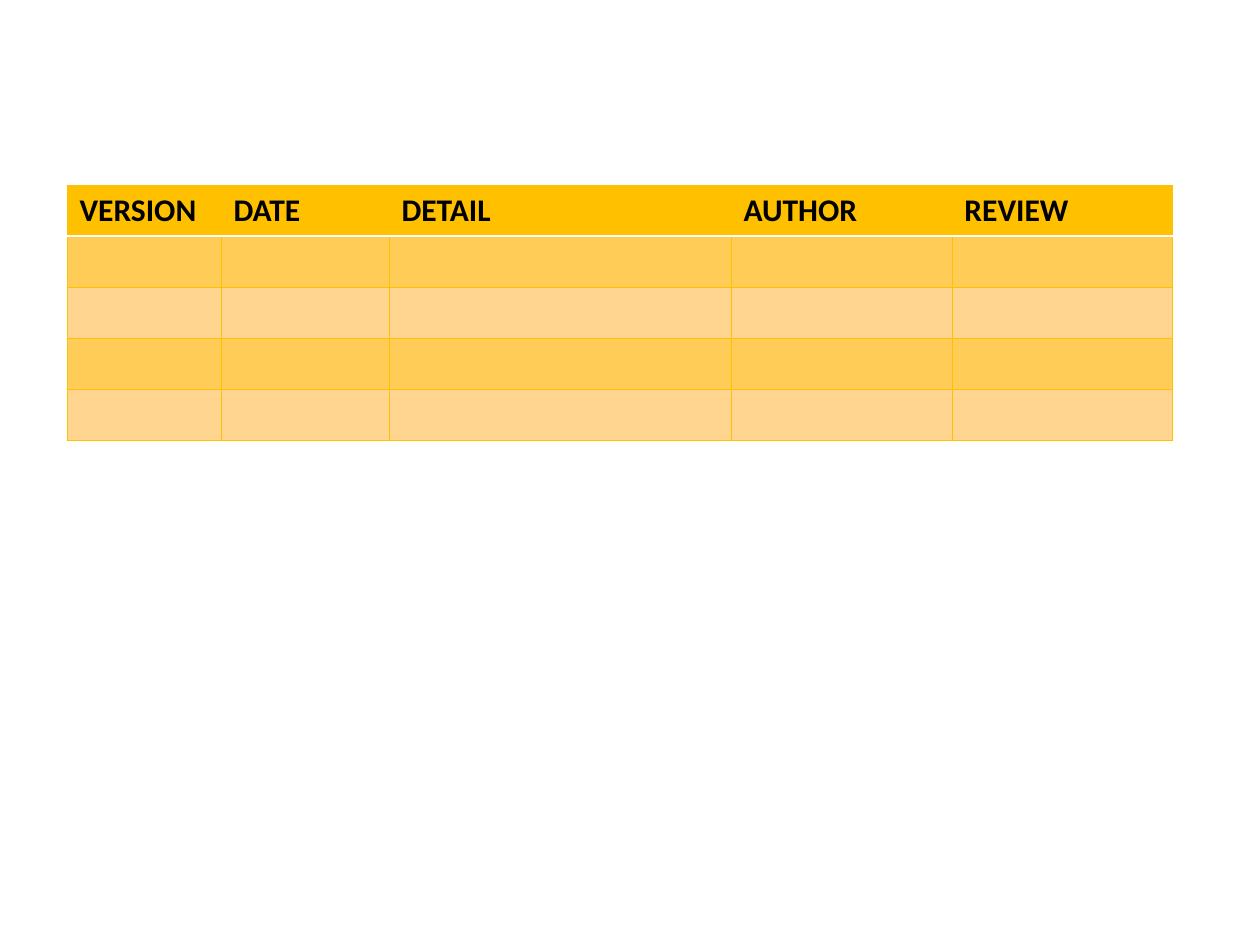
from lxml.etree import SubElement
from pptx import Presentation
from pptx.dml.color import RGBColor
from pptx.oxml.ns import qn
from pptx.util import Pt

SCALE = 914400 // 126
COLORS = {"gold": "FFC000", "dark": "FFCC57", "light": "FFD58F",
          "white": "FFFFFF", "black": "000000"}
HEADS = ["VERSION", "DATE", "DETAIL", "AUTHOR ", "REVIEW"]
WIDTHS = [154, 168, 342, 221, 221]
ROWS, HEIGHT = 5, 51


def px(size):
    """Turn pixels into EMU."""
    return size * SCALE


def add_edge(cell, side, color, width):
    """Draw one border of a cell."""
    line = SubElement(cell._tc.get_or_add_tcPr(), qn(f"a:ln{side}"),
                      w=str(Pt(width)))
    fill = SubElement(line, qn("a:solidFill"))
    SubElement(fill, qn("a:srgbClr"), val=COLORS[color])


def style_cell(cell, row):
    """Give a cell its borders and the fill of its row."""
    for side in "LRTB":
        rule = (row, side) in ((0, "B"), (1, "T"))
        add_edge(cell, side, *(("white", 1) if rule else ("gold", 0.5)))
    name = "gold" if row == 0 else "dark" if row % 2 else "light"
    cell.fill.solid()
    cell.fill.fore_color.rgb = RGBColor.from_string(COLORS[name])


def add_head(cell, text):
    """Write a bold column heading."""
    run = cell.text_frame.paragraphs[0].add_run()
    run.text = text
    font = run.font
    font.name, font.size, font.bold = "Calibri", Pt(18), True
    font.color.rgb = RGBColor.from_string(COLORS["black"])


def add_log(slide):
    """Add the version log with its empty rows."""
    table = slide.shapes.add_table(
        ROWS, len(HEADS), px(67), px(185), px(sum(WIDTHS)),
        px(ROWS * HEIGHT)).table
    table.horz_banding = False
    for col, width in zip(table.columns, WIDTHS):
        col.width = px(width)
    for index, row in enumerate(table.rows):
        row.height = px(HEIGHT)
        for cell in row.cells:
            style_cell(cell, index)
    for cell, text in zip(table.rows[0].cells, HEADS):
        add_head(cell, text)


def main():
    """Build the slide and save it."""
    deck = Presentation()
    deck.slide_width, deck.slide_height = px(1260), px(945)
    add_log(deck.slides.add_slide(deck.slide_layouts[6]))
    deck.save("out.pptx")


main()
